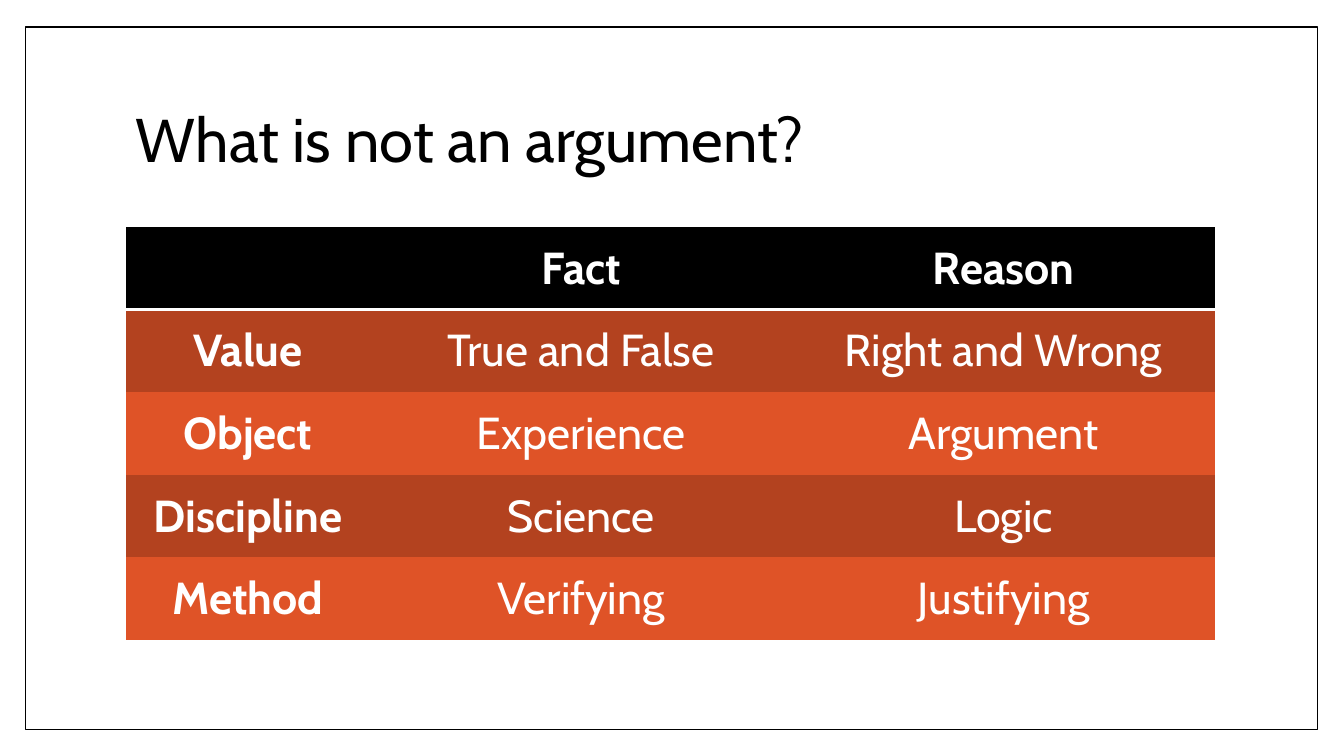
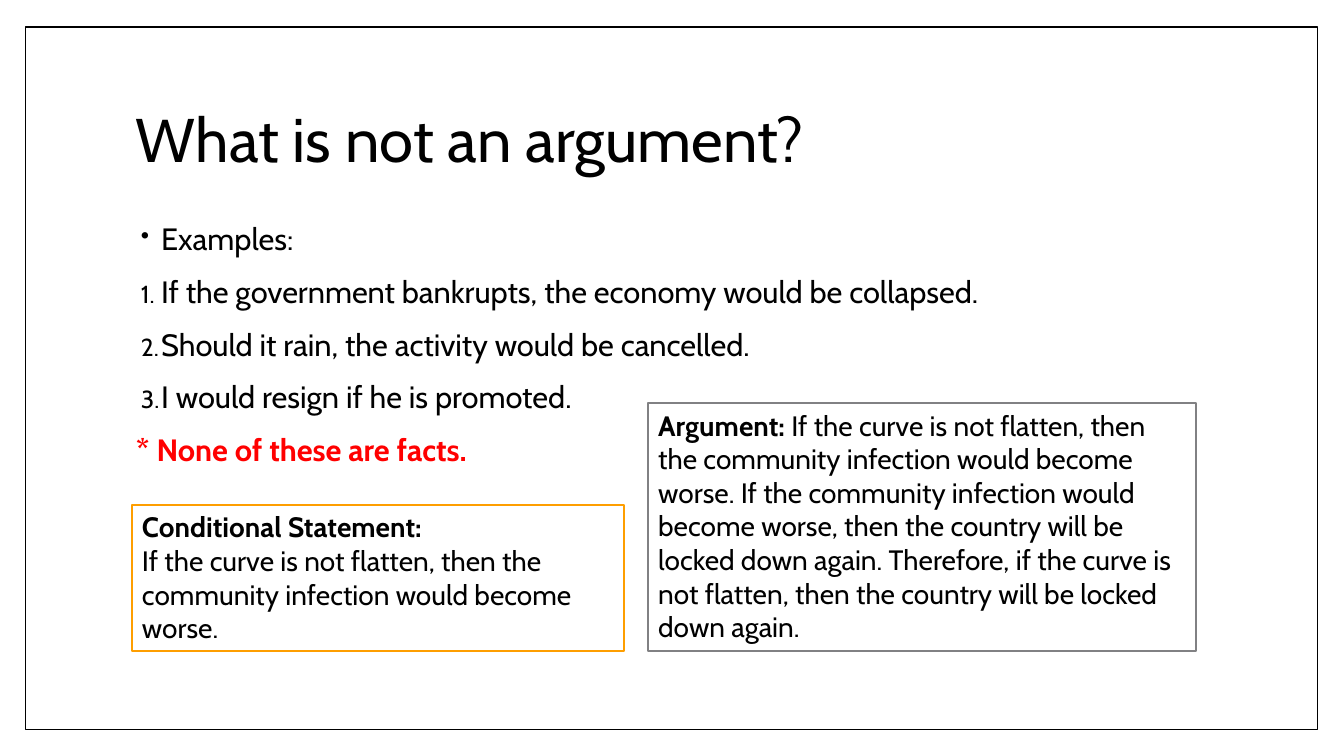
import pptx
import pptx.dml.color
import pptx.enum.shapes
import pptx.enum.text
import pptx.oxml.ns
import pptx.util
from lxml import etree

Inches, Pt = pptx.util.Inches, pptx.util.Pt
qn = pptx.oxml.ns.qn
ALIGN, ANCHOR = pptx.enum.text.PP_ALIGN, pptx.enum.text.MSO_ANCHOR

COLORS = {
    "black": "000000", "white": "FFFFFF", "red": "FF0000",
    "rust": "B3421F", "orange": "DF5327", "amber": "FE9E00", "gray": "818183",
}
FONT = "Cabin"
NO_STYLE_NO_GRID = "{2D5ABB26-0587-4C30-8999-92F81FD0307C}"
LEFT, CONTENT_W = 1.25, 10.8

TITLE = "What is not an argument?"
COMPARISON = [
    ("", "Fact", "Reason"),
    ("Value", "True and False", "Right and Wrong"),
    ("Object", "Experience", "Argument"),
    ("Discipline", "Science", "Logic"),
    ("Method", "Verifying", "Justifying"),
]
COL_WIDTHS = (2.42, 4.19, 4.19)
ROW_HEIGHT = 0.82

# (text, marker)
EXAMPLES = [
    ("Examples:", "bullet"),
    ("If the government bankrupts, the economy would be collapsed.", "number"),
    ("Should it rain, the activity would be cancelled.", "number"),
    ("I would resign if he is promoted.", "number"),
    ("* None of these are facts.", None),
]
MARKERS = {
    "bullet": ("a:buChar", {"char": "•"}),
    "number": ("a:buAutoNum", {"type": "arabicPeriod"}),
}
# (box, line colour, paragraphs of (text, bold) runs)
CALLOUTS = [
    ((1.31, 5.01, 4.88, 1.45), "amber", [
        [("Conditional Statement:", True)],
        [("If the curve is not flatten, then the community infection would become worse.", False)],
    ]),
    ((6.43, 4, 5.43, 2.46), "gray", [
        [("Argument: ", True),
         ("If the curve is not flatten, then the community infection would become worse. "
          "If the community infection would become worse, then the country will be locked "
          "down again. Therefore, if the curve is not flatten, then the country will be "
          "locked down again.", False)],
    ]),
]


def rgb(name):
    return pptx.dml.color.RGBColor.from_string(COLORS[name])


def add_child(parent, tag, **attrs):
    return etree.SubElement(parent, qn(tag), attrs)


def style_run(r, size, color="black", bold=False):
    r.font.name, r.font.size, r.font.bold = FONT, Pt(size), bold
    r.font.color.rgb = rgb(color)


def add_box(slide, box, line, width):
    sp = slide.shapes.add_shape(pptx.enum.shapes.MSO_SHAPE.RECTANGLE, *map(Inches, box))
    sp.shadow.inherit = False
    sp.fill.solid()
    sp.fill.fore_color.rgb = rgb("white")
    sp.line.color.rgb = rgb(line)
    sp.line.width = Pt(width)
    return sp


def add_text(slide, box, lines, size, anchor=ANCHOR.TOP):
    tf = slide.shapes.add_textbox(*map(Inches, box)).text_frame
    tf.word_wrap = True
    tf.vertical_anchor = anchor
    tf.text = "\n".join(lines)
    for p in tf.paragraphs:
        p.line_spacing = 0.9
        style_run(p.runs[0], size)
    return tf


def add_framed_slide(prs):
    """Add a slide with the shared border and title."""
    slide = prs.slides.add_slide(prs.slide_layouts[6])
    add_box(slide, (0.25, 0.27, 12.82, 6.97), "black", 1)
    add_text(slide, (LEFT, 0.67, CONTENT_W, 1.48), [TITLE], 44, ANCHOR.MIDDLE)
    return slide


def add_bottom_border(cell, color, width):
    ln = etree.Element(qn("a:lnB"), {"w": str(Pt(width))})
    add_child(add_child(ln, "a:solidFill"), "a:srgbClr", val=COLORS[color])
    cell._tc.get_or_add_tcPr().insert(0, ln)


def add_comparison(slide):
    rows, cols = len(COMPARISON), len(COL_WIDTHS)
    table = slide.shapes.add_table(
        rows, cols, Inches(LEFT), Inches(2.25), Inches(CONTENT_W), Inches(rows * ROW_HEIGHT)
    ).table
    table._tbl.tblPr.find(qn("a:tableStyleId")).text = NO_STYLE_NO_GRID
    for col, width in zip(table.columns, COL_WIDTHS):
        col.width = Inches(width)
    for i, texts in enumerate(COMPARISON):
        table.rows[i].height = Inches(ROW_HEIGHT)
        fill = "black" if i == 0 else ("orange", "rust")[i % 2]
        for j, text in enumerate(texts):
            cell = table.cell(i, j)
            cell.fill.solid()
            cell.fill.fore_color.rgb = rgb(fill)
            cell.vertical_anchor = ANCHOR.MIDDLE
            if i == 0:
                add_bottom_border(cell, "white", 2)
            cell.text_frame.text = text
            p = cell.text_frame.paragraphs[0]
            p.alignment = ALIGN.CENTER
            for r in p.runs:
                style_run(r, 32, "white", bold=i == 0 or j == 0)


def set_marker(p, marker):
    pPr = p._p.get_or_add_pPr()
    pPr.set("marL", str(Inches(0.25)))
    pPr.set("indent", str(Inches(-0.2)))
    add_child(add_child(pPr, "a:buClr"), "a:srgbClr", val=COLORS["black"])
    add_child(pPr, "a:buSzPct", val="80000")
    tag, attrs = MARKERS[marker]
    add_child(pPr, tag, **attrs)


def add_examples(slide):
    tf = add_text(slide, (LEFT, 2.17, 9.58, 4.21), [text for text, _ in EXAMPLES], 22)
    for p, (_, marker) in zip(tf.paragraphs, EXAMPLES):
        p.space_before = Pt(14)
        if marker:
            set_marker(p, marker)
        else:
            style_run(p.runs[0], 22, "red", bold=True)


def add_callout(slide, box, line, paragraphs):
    tf = add_box(slide, box, line, 1.5).text_frame
    tf.word_wrap = True
    tf.vertical_anchor = ANCHOR.TOP
    for i, runs in enumerate(paragraphs):
        p = tf.add_paragraph() if i else tf.paragraphs[0]
        p.alignment = ALIGN.LEFT
        for text, bold in runs:
            r = p.add_run()
            r.text = text
            style_run(r, 20, bold=bold)


def main():
    prs = pptx.Presentation()
    prs.slide_width, prs.slide_height = Inches(13.33), Inches(7.5)
    add_comparison(add_framed_slide(prs))
    slide = add_framed_slide(prs)
    add_examples(slide)
    for callout in CALLOUTS:
        add_callout(slide, *callout)
    prs.save("out.pptx")


if __name__ == "__main__":
    main()
